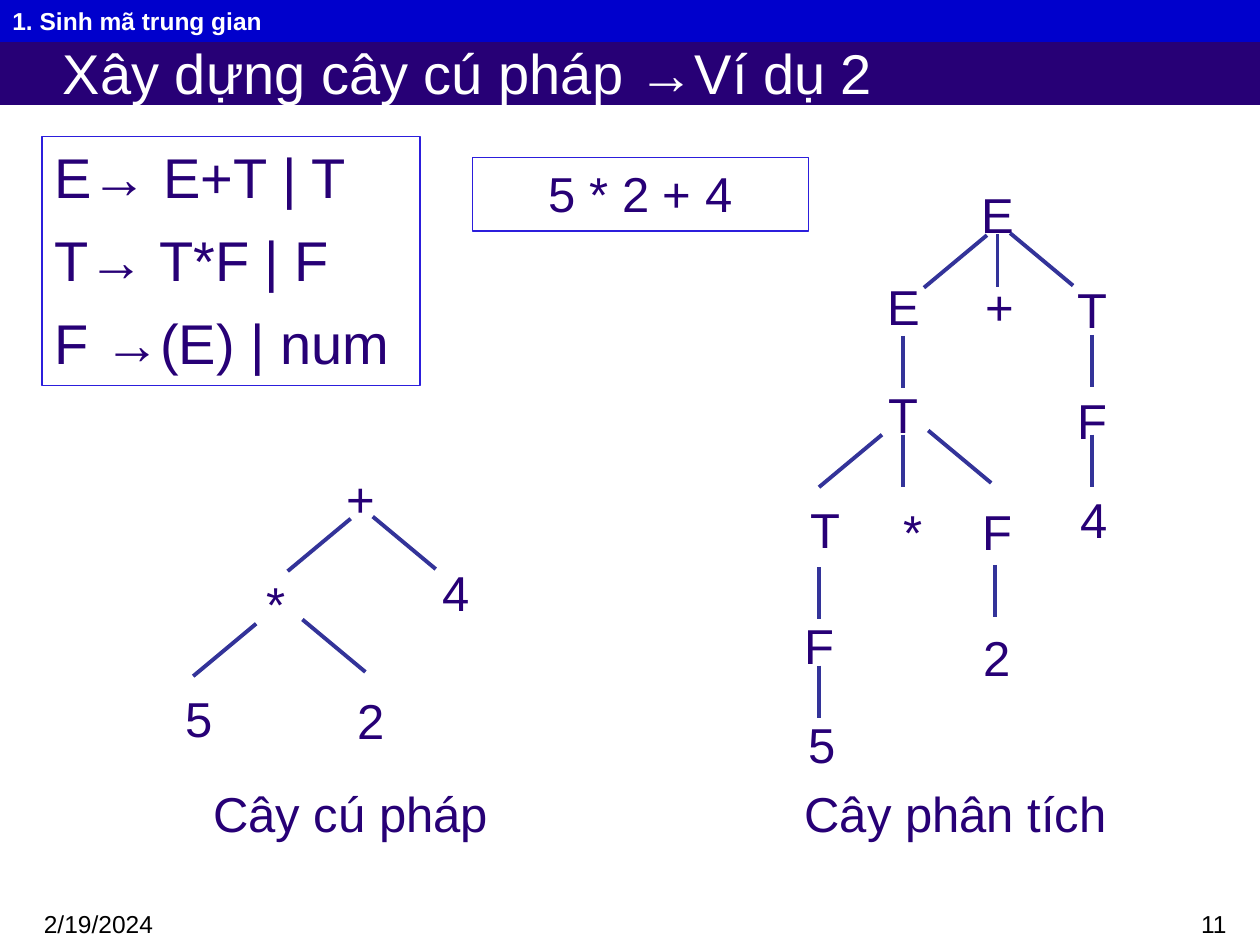
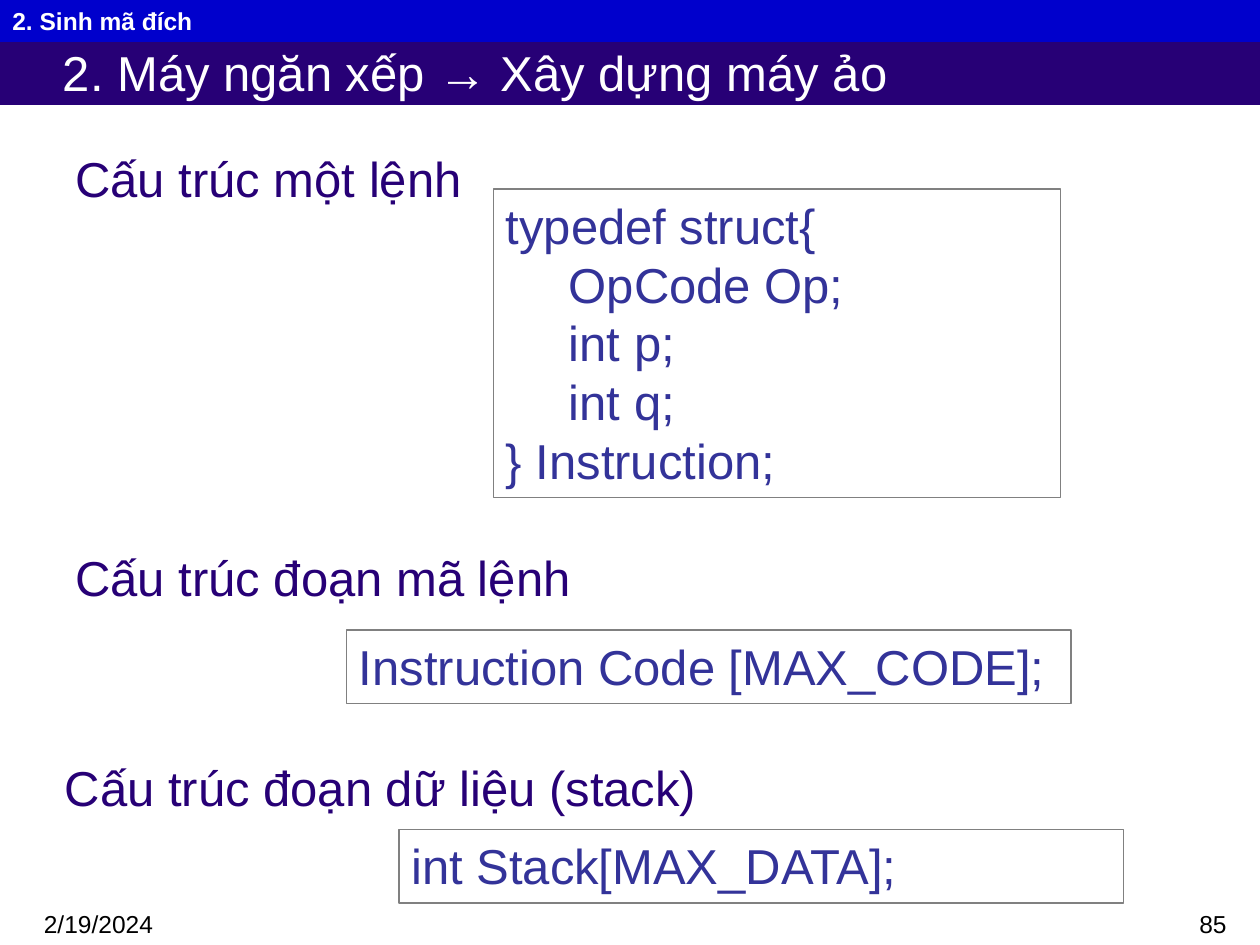
from pptx import Presentation
from pptx.dml.color import RGBColor
from pptx.enum.shapes import MSO_CONNECTOR, MSO_SHAPE
from pptx.enum.text import MSO_ANCHOR, PP_ALIGN
from pptx.oxml.ns import qn
from pptx.util import Inches, Pt
from lxml import etree

WHITE = RGBColor(0xFF, 0xFF, 0xFF)
BLACK = RGBColor(0x00, 0x00, 0x00)
HEADER_BLUE = RGBColor(0x00, 0x00, 0xCC)
INDIGO = RGBColor(0x27, 0x00, 0x76)
BRANCH_BLUE = RGBColor(0x33, 0x33, 0x99)
GRAMMAR_BORDER = RGBColor(0x2C, 0x1E, 0xDC)
CODE_BORDER = RGBColor(0x80, 0x80, 0x80)
FONT = "Arial"

presentation = Presentation()
presentation.slide_width = Inches(10)
presentation.slide_height = Inches(7.5)
COLUMN = presentation.slide_width / 120
ROW = presentation.slide_height / 90


def add_text(slide, place, text, size=28, color=INDIGO, align=PP_ALIGN.LEFT, fill=None, border=None):
    left, top, width, height = place
    box = [int(left * COLUMN), int(top * ROW), int(width * COLUMN), int(height * ROW)]
    if fill or border:
        shape = slide.shapes.add_shape(MSO_SHAPE.RECTANGLE, *box)
        shape.shadow.inherit = False
        if fill:
            shape.fill.solid()
            shape.fill.fore_color.rgb = fill
        else:
            shape.fill.background()
        if border:
            shape.line.color.rgb = border
            shape.line.width = Pt(0.75)
        else:
            shape.line.fill.background()
    else:
        shape = slide.shapes.add_textbox(*box)
    text_frame = shape.text_frame
    text_frame.word_wrap = True
    text_frame.vertical_anchor = MSO_ANCHOR.TOP
    text_frame.text = text
    for paragraph in text_frame.paragraphs:
        paragraph.alignment = align
        for run in paragraph.runs:
            run.font.name = FONT
            run.font.size = Pt(size)
            run.font.color.rgb = color
    return text_frame


def add_branch(slide, column, row, run):
    connector = slide.shapes.add_connector(
        MSO_CONNECTOR.STRAIGHT,
        int(column * COLUMN), int(row * ROW),
        int((column + run) * COLUMN), int((row + 5) * ROW))
    connector.line.color.rgb = BRANCH_BLUE
    connector.line.width = Pt(2.25)
    etree.SubElement(connector._element.spPr, qn("a:effectLst"))


pages = [
    ("1. Sinh mã trung gian", "Xây dựng cây cú pháp →Ví dụ 2", 32, "11"),
    ("2. Sinh mã đích", "2. Máy ngăn xếp → Xây dựng máy ảo", 28, "85"),
]
slides = []
for section, title, title_size, number in pages:
    slide = presentation.slides.add_slide(presentation.slide_layouts[6])
    slides.append(slide)
    add_text(slide, (3, 86, 23, 4), "2/19/2024", 14, BLACK)
    add_text(slide, (93, 86, 25, 3), number, 14, BLACK, PP_ALIGN.RIGHT)
    title_frame = add_text(slide, (0, 3.8, 120, 6.2), title, title_size, WHITE, fill=INDIGO)
    title_frame.vertical_anchor = MSO_ANCHOR.MIDDLE
    title_frame.margin_left = Inches(0.5)
    title_frame.margin_top = title_frame.margin_bottom = 0
    header_frame = add_text(slide, (0, 0, 120, 4), section, 14, WHITE, fill=HEADER_BLUE)
    header_frame.paragraphs[0].runs[0].font.bold = True

tree_slide, machine_slide = slides

parse_nodes = [
    ("E", 91, 17), ("E", 82.1, 25.7), ("+", 91.2, 25.7), ("T", 100, 26),
    ("T", 82, 36), ("F", 100, 36.6), ("T", 74.6, 47), ("*", 83, 47.2),
    ("F", 91, 47.2), ("4", 100.2, 46), ("F", 74, 58), ("2", 91, 59.2),
    ("5", 74.3, 67.5),
]
parse_branches = [
    (94, 22.4, -6), (95, 22.3, 0), (96.2, 22.2, 6), (86, 32, 0), (104, 31.9, 0),
    (84, 41.4, -6), (86, 41.4, 0), (88.4, 41, 6), (104, 41.4, 0),
    (78, 54, 0), (94.8, 53.8, 0), (78, 63.4, 0),
]
syntax_nodes = [
    ("+", 30.4, 44), ("*", 22.3, 54), ("4", 39.4, 53), ("5", 15, 65), ("2", 31.3, 65.2),
]
syntax_branches = [
    (33.4, 49.4, -6), (35.5, 49.2, 6), (24.4, 59.4, -6), (28.8, 59, 6),
]
trees = [
    (parse_nodes, parse_branches, "Cây phân tích", 75),
    (syntax_nodes, syntax_branches, "Cây cú pháp", 17.4),
]
for nodes, branches, caption, caption_column in trees:
    for symbol, column, row in nodes:
        add_text(tree_slide, (column, row, 8, 6.8), symbol, align=PP_ALIGN.CENTER)
    for column, row, run in branches:
        add_branch(tree_slide, column, row, run)
    add_text(tree_slide, (caption_column, 74, 32, 6.8), caption, align=PP_ALIGN.CENTER)

add_text(tree_slide, (45, 15, 32, 7), "5 * 2 + 4", align=PP_ALIGN.CENTER, border=GRAMMAR_BORDER)
grammar_frame = add_text(tree_slide, (4, 13, 36, 23.75), "E→ E+T | T\nT→ T*F | F\nF →(E) | num",
                         32, border=GRAMMAR_BORDER)
for paragraph in grammar_frame.paragraphs[1:]:
    paragraph.space_before = Pt(9)

headings = [
    ("Cấu trúc một lệnh", 6, 13, 41.2),
    ("Cấu trúc đoạn mã lệnh", 6, 51, 63),
    ("Cấu trúc đoạn dữ liệu (stack)", 5, 71, 63),
]
for heading, column, row, width in headings:
    heading_frame = add_text(machine_slide, (column, row, width, 7.8), heading)
    heading_frame.margin_top = heading_frame.margin_bottom = 0
    heading_frame.paragraphs[0].line_spacing = 1.2

instruction_code = "typedef struct{\n  \tOpCode Op;\n  \tint p;\n  \tint q;\n} Instruction;"
code_boxes = [
    (instruction_code, (47, 18, 54, 29.4)),
    ("Instruction Code [MAX_CODE];", (33, 60, 69, 7)),
    ("int Stack[MAX_DATA];", (38, 79, 69, 7)),
]
for code, place in code_boxes:
    add_text(machine_slide, place, code, color=BRANCH_BLUE, border=CODE_BORDER)

presentation.save("out.pptx")
